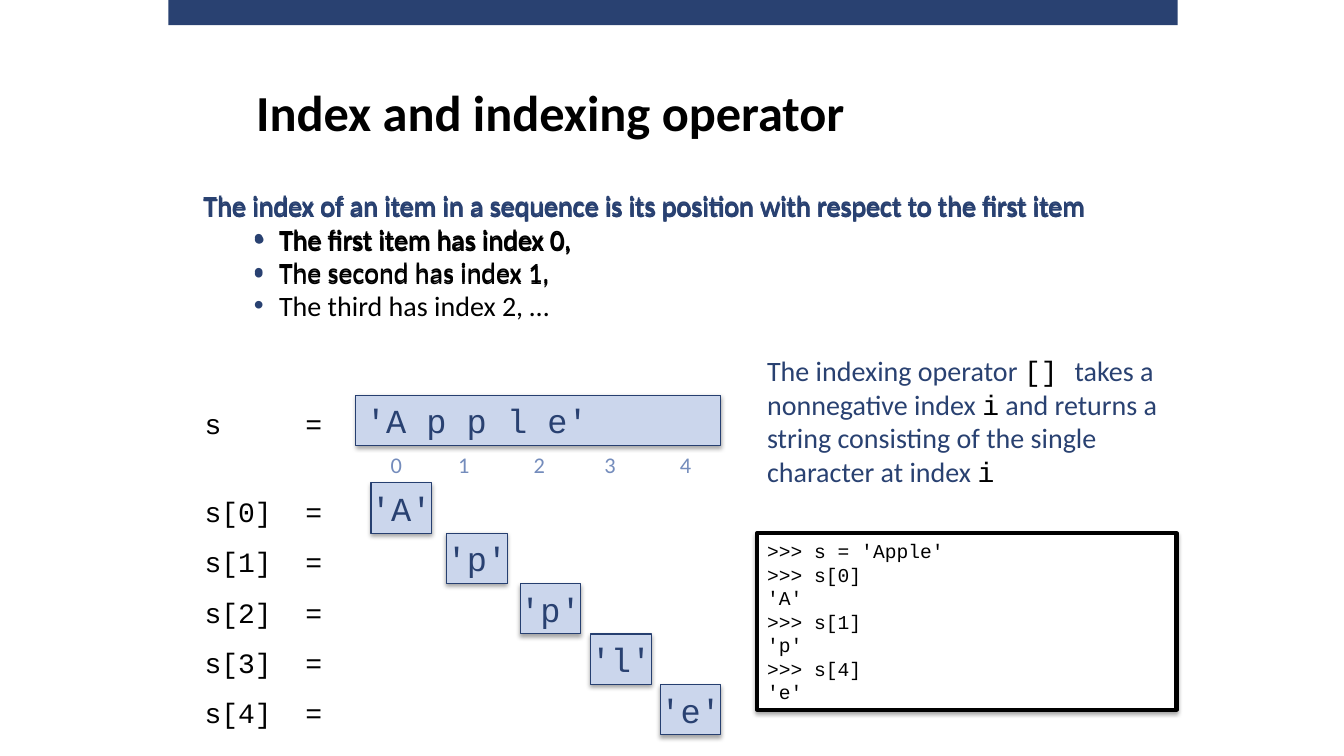
import pptx
import pptx.dml.color
import pptx.enum.shapes
import pptx.enum.text
import pptx.oxml
import pptx.oxml.ns
import pptx.util
from pptx.util import Inches

RGBColor = pptx.dml.color.RGBColor
Align = pptx.enum.text.PP_ALIGN
Anchor = pptx.enum.text.MSO_ANCHOR

NAVY = RGBColor(0x29, 0x41, 0x71)
EDGE = RGBColor(0x26, 0x3F, 0x70)
PALE = RGBColor(0xCB, 0xD6, 0xEC)
INDEX_BLUE = RGBColor(0x74, 0x8C, 0xBC)
BLACK = RGBColor(0, 0, 0)
WHITE = RGBColor(0xFF, 0xFF, 0xFF)
SANS, MONO = "Calibri", "Courier New"


class Deck:
    def __init__(self):
        self.prs = pptx.Presentation()
        self.prs.slide_width, self.prs.slide_height = Inches(13.33), Inches(7.5)
        self.slide = self.prs.slides.add_slide(self.prs.slide_layouts[5])

    def add_xml(self, parent, xml):
        """Append an element of the drawing namespace."""
        xml = xml.replace(" ", f" {pptx.oxml.ns.nsdecls('a')} ", 1)
        parent.append(pptx.oxml.parse_xml(xml))

    def set_text(self, frame, paragraphs, size, color, font=SANS, align=Align.LEFT,
                 anchor=Anchor.MIDDLE, wrap=True, bold=False, bullets=False, tab=None):
        """Each paragraph is a string or a list of (text, font, colour) runs."""
        for name, value in {"word_wrap": wrap, "vertical_anchor": anchor,
                            "auto_size": pptx.enum.text.MSO_AUTO_SIZE.NONE}.items():
            setattr(frame, name, value)
        for number, content in enumerate(paragraphs):
            paragraph = frame.add_paragraph() if number else frame.paragraphs[0]
            paragraph.alignment = align
            props = paragraph._p.get_or_add_pPr()
            if bullets and number:
                paragraph.level = 1
                props.set("marL", str(Inches(0.75)))
                props.set("indent", str(Inches(-0.25)))
                self.add_xml(props, f'<a:buClr ><a:srgbClr val="{NAVY}"/></a:buClr>')
                self.add_xml(props, '<a:buFont typeface="Arial"/>')
                self.add_xml(props, '<a:buChar char="•"/>')
            if tab:
                self.add_xml(props, f'<a:tabLst ><a:tab pos="{Inches(tab)}" algn="l"/></a:tabLst>')
            shade = BLACK if bullets and number else color
            runs = [(content, font, shade)] if isinstance(content, str) else content
            for text, face, run_color in runs:
                run = paragraph.add_run()
                run.text = text
                for name, value in {"name": face, "size": pptx.util.Pt(size),
                                    "bold": bold}.items():
                    setattr(run.font, name, value)
                run.font.color.rgb = run_color

    def title(self, text, box):
        holder = self.slide.shapes.title
        for name, value in zip(("left", "top", "width", "height"), box):
            setattr(holder, name, Inches(value))
        holder.text_frame.margin_bottom = Inches(0.2)
        self.set_text(holder.text_frame, [text], 36, BLACK, anchor=Anchor.BOTTOM, bold=True)

    def text(self, box, paragraphs, size, color, **style):
        label = self.slide.shapes.add_textbox(*map(Inches, box))
        self.set_text(label.text_frame, paragraphs, size, color, **style)
        return label

    def rect(self, box, fill, line=None, width=0.75):
        panel = self.slide.shapes.add_shape(
            pptx.enum.shapes.MSO_SHAPE.RECTANGLE, *map(Inches, box))
        panel.shadow.inherit = False
        panel.fill.solid()
        panel.fill.fore_color.rgb = fill
        if line is None:
            panel.line.fill.background()
        else:
            panel.line.color.rgb = line
            panel.line.width = pptx.util.Pt(width)
            effects = panel._element.spPr.find(pptx.oxml.ns.qn("a:effectLst"))
            self.add_xml(effects, '<a:outerShdw blurRad="39370" dist="22860" dir="5400000" '
                         'rotWithShape="0"><a:srgbClr val="000000"><a:alpha val="35000"/>'
                         '</a:srgbClr></a:outerShdw>')
        return panel

    def box(self, box, paragraphs, size, color, fill, line, width=0.75, **style):
        panel = self.rect(box, fill, line, width)
        self.set_text(panel.text_frame, paragraphs, size, color, font=MONO, **style)


def main():
    deck = Deck()

    # Header
    deck.rect((1.67, 0, 10.01, 0.25), NAVY)
    deck.title("Index and indexing operator", (2.44, 0, 8.5, 1.61))

    # Definition, built up one bullet at a time in stacked boxes
    definition = [
        "The index of an item in a sequence is its position with respect to the first item",
        "The first item has index 0,",
        "The second has index 1,",
        "The third has index 2, …",
    ]
    stage_corners = [(1.92, 1.83), (1.93, 1.83), (1.92, 1.83), (1.92, 1.81)]
    for shown, corner in enumerate(stage_corners, start=1):
        deck.text((*corner, 9.27, 1.45), definition[:shown], 20, NAVY,
                  anchor=Anchor.TOP, bullets=True)

    # The string and its characters, stepping down by index
    def expression(name, top):
        label = deck.text((1.93, top, 1.38, 0.44), [f"{name}\t="], 20, BLACK,
                          font=MONO, tab=1)
        label.text_frame.margin_right = 0

    expression("s", 3.98)
    deck.box((3.53, 3.92, 3.62, 0.5), ["'A p p l e'"], 24, NAVY, PALE, EDGE,
             align=Align.JUSTIFY)
    letter_lefts = [3.68, 4.43, 5.16, 5.86, 6.55]
    index_centers = [3.93, 4.6, 5.35, 6.05, 6.8]
    for index, (letter, left, center) in enumerate(
            zip("Apple", letter_lefts, index_centers)):
        drop = 0.5 * index
        deck.text((center - 0.3, 4.42, 0.6, 0.37), [str(index)], 16, INDEX_BLUE,
                  align=Align.CENTER)
        expression(f"s[{index}]", 4.85 + drop)
        deck.box((left, 4.79 + drop, 0.6, 0.5), [f"'{letter}'"], 24, NAVY, PALE, EDGE,
                 align=Align.CENTER, wrap=False)

    # Indexing operator
    deck.text((7.51, 3.45, 4.17, 1.45), [[
        ("The indexing operator ", SANS, NAVY),
        ("[] ", MONO, BLACK),
        ("takes a nonnegative index ", SANS, NAVY),
        ("i", MONO, BLACK),
        (" and returns a string consisting of the single character at index ", SANS, NAVY),
        ("i", MONO, BLACK),
    ]], 20, NAVY)

    # Interactive session
    session = [">>> s = 'Apple'", ">>> s[0]", "'A'", ">>> s[1]", "'p'", ">>> s[4]", "'e'"]
    deck.box((7.51, 5.29, 4.16, 1.75), session, 14, BLACK, WHITE, BLACK, width=3)

    deck.prs.save("out.pptx")


if __name__ == "__main__":
    main()
